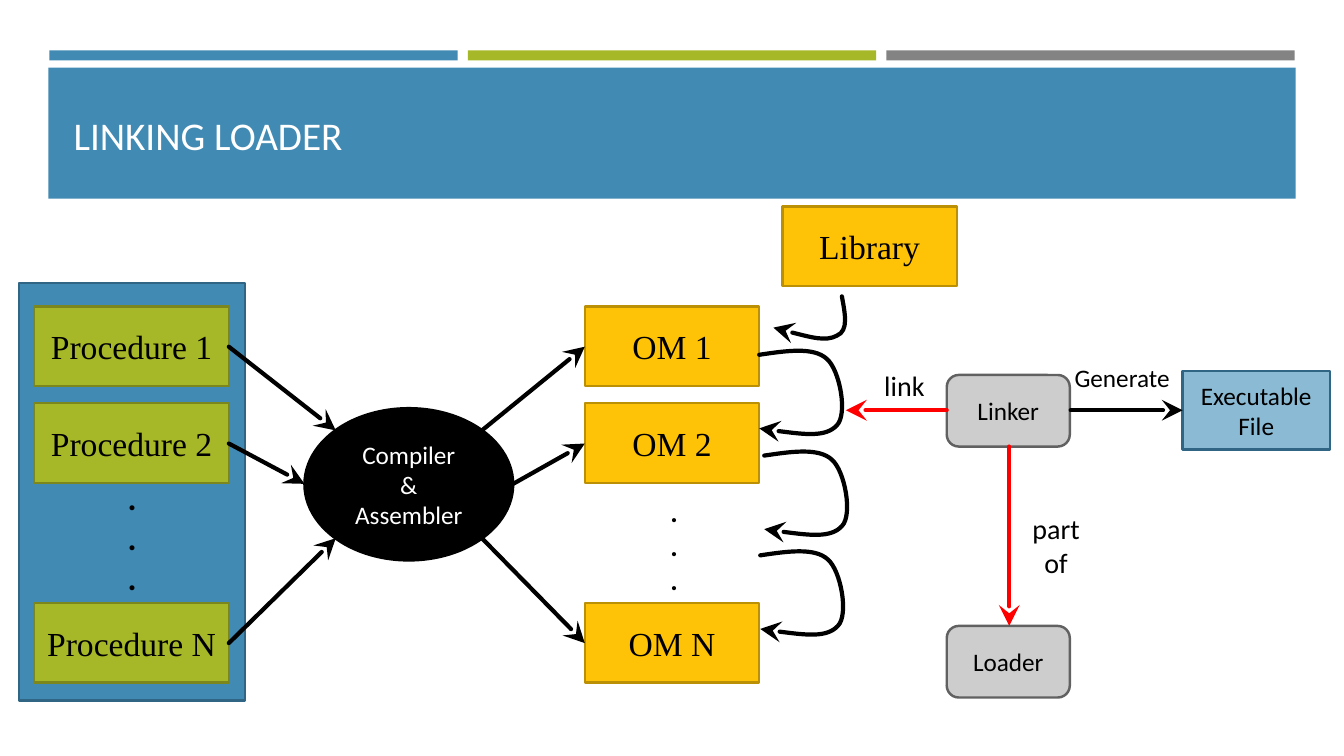
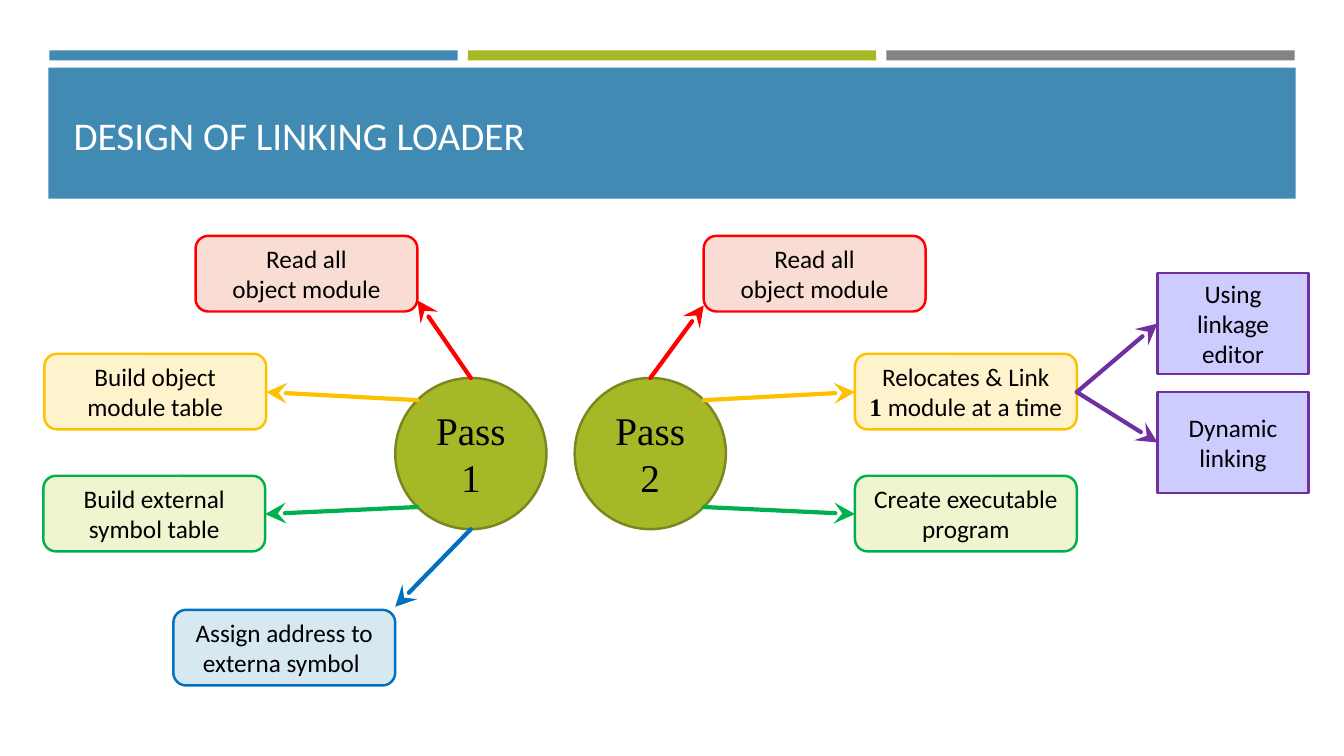
from lxml import etree
from pptx import Presentation, util as u
from pptx.dml.color import RGBColor
from pptx.enum import shapes, text
from pptx.oxml.ns import qn


class Theme:
    sans, serif = "Calibri", "Times New Roman"
    title, module, dots, label, body = 28, 24, 20, 20, 18
    edge, arrow = 1.75, 3
    white, black = "FFFFFF", "000000"
    blue, blue_edge, sky = "418AB3", "306684", "8ABAD4"
    lime, lime_edge = "A6B727", "7B871D"
    gold, gold_edge = "FEC306", "BC9004"
    gray, silver, silver_edge = "838383", "CDCDCD", "616161"
    red, red_tint = "FF0000", "F9DDD4"
    amber, amber_tint = "FFC000", "FFF3CD"
    green, green_tint = "00B050", "F0F5D0"
    azure, azure_tint = "0070C0", "D8E8F1"
    purple, purple_tint = "7030A0", "CCCCFF"


RECT = shapes.MSO_SHAPE.RECTANGLE
ROUND = shapes.MSO_SHAPE.ROUNDED_RECTANGLE
OVAL = shapes.MSO_SHAPE.OVAL
CENTER = text.PP_ALIGN.CENTER
LEFT = text.PP_ALIGN.LEFT
MIDDLE = text.MSO_ANCHOR.MIDDLE
TOP = text.MSO_ANCHOR.TOP


def write(shape, *lines, size=Theme.body, font=Theme.sans, color=Theme.black, bold=False,
          align=CENTER, anchor=MIDDLE, fill=None, edge=None):
    if fill:
        shape.shadow.inherit = False
        shape.fill.solid()
        shape.fill.fore_color.rgb = RGBColor.from_string(fill)
        shape.line.fill.background()
    if edge:
        shape.line.color.rgb = RGBColor.from_string(edge)
        shape.line.width = u.Pt(Theme.edge)
    frame = shape.text_frame
    frame.vertical_anchor = anchor
    for index, line in enumerate(lines):
        paragraph = frame.add_paragraph() if index else frame.paragraphs[0]
        paragraph.alignment = align
        runs = [(line, font, bold)] if isinstance(line, str) else line
        for words, run_font, run_bold in runs:
            run = paragraph.add_run()
            run.text = words
            run.font.name, run.font.size, run.font.bold = run_font, u.Pt(size), run_bold
            run.font.color.rgb = RGBColor.from_string(color)
    return shape


def point(stroke, color=Theme.black):
    stroke.line.color.rgb = RGBColor.from_string(color)
    stroke.line.width = u.Pt(Theme.arrow)
    outline = stroke.get_or_add_ln()
    outline.set("cap", "rnd")
    etree.SubElement(outline, qn("a:tailEnd"), type="stealth", w="lg", len="lg")
    etree.SubElement(stroke._element.spPr, qn("a:effectLst"))


deck = Presentation()
deck.slide_width, deck.slide_height = u.Inches(13.33), u.Inches(7.5)
layout = deck.slide_layouts[5]
heading = layout.placeholders[0]
heading.left, heading.top = u.Inches(0.63), u.Inches(0.8)
heading.width, heading.height = u.Inches(12.06), u.Inches(1.08)

overview, design = [deck.slides.add_slide(layout) for _ in range(2)]
for slide, words in [(overview, "LINKING LOADER"), (design, "DESIGN OF LINKING LOADER")]:
    write(slide.shapes.title, words, size=Theme.title, color=Theme.white, align=LEFT)

bands = [((0.49 + 4.15 * i, 0.5, 4.05, 0.1), color)
         for i, color in enumerate([Theme.blue, Theme.lime, Theme.gray])]
bands.append(((0.48, 0.67, 12.37, 1.3), Theme.blue))
for index, (at, color) in enumerate(bands):
    band = write(overview.shapes.add_shape(RECT, *map(u.Inches, at)), fill=color)
    layout.shapes._spTree.insert(2 + index, band._element)

parts = overview.shapes
program = parts.add_shape(RECT, *map(u.Inches, (0.19, 2.81, 2.24, 4.14)))
program.text_frame.margin_top = u.Inches(1.92)
write(program, ".", ".", ".", size=Theme.module, bold=True, anchor=TOP,
      fill=Theme.blue, edge=Theme.blue_edge)

arrows = [
    ((9.39, 4.07), (8.39, 4.07), Theme.red),
    ((10.01, 4.43), (10.01, 6.21), Theme.red),
    ((10.62, 4.07), (11.73, 4.07), Theme.black),
]
modules = [("Library", 7.76, 2.05, 1.73, Theme.gold, Theme.gold_edge)]
for number, top, entry_x, entry_y in [("1", 3.04, 3.33, 4.27), ("2", 4, 3.02, 4.8),
                                      ("N", 5.98, 3.33, 5.34)]:
    modules.append((f"Procedure {number}", 0.34, top, 1.93, Theme.lime, Theme.lime_edge))
    modules.append((f"OM {number}", 5.8, top, 1.73, Theme.gold, Theme.gold_edge))
    arrows.append(((2.27, top + 0.4), (entry_x, entry_y), Theme.black))
    arrows.append(((8.11 - entry_x, entry_y), (5.8, top + 0.4), Theme.black))
for name, left, top, width, fill, edge in modules:
    write(parts.add_shape(RECT, *map(u.Inches, (left, top, width, 0.79))), name,
          size=Theme.module, font=Theme.serif, fill=fill, edge=edge)

write(parts.add_shape(OVAL, *map(u.Inches, (3.02, 4.05, 2.07, 1.51))),
      "Compiler", "&", "Assembler", color=Theme.white, fill=Theme.black, edge=Theme.black)
for name, top in [("Linker", 3.72), ("Loader", 6.21)]:
    write(parts.add_shape(ROUND, *map(u.Inches, (9.39, top, 1.22, 0.71))), name,
          fill=Theme.silver, edge=Theme.silver_edge)
write(parts.add_shape(RECT, *map(u.Inches, (11.73, 3.68, 1.46, 0.78))),
      "Executable", "File", fill=Theme.sky, edge=Theme.blue_edge)

for lines, at, size, bold, align in [
    ((".", ".", "."), (6.55, 4.86, 0.28, 1.11), Theme.dots, True, LEFT),
    (("link",), (8.67, 3.61, 0.6, 0.44), Theme.label, False, CENTER),
    (("part", "of"), (10.14, 5.03, 0.67, 0.77), Theme.label, False, CENTER),
    (("Generate",), (10.56, 3.55, 1.17, 0.4), Theme.body, False, LEFT),
]:
    write(parts.add_textbox(*map(u.Inches, at)), *lines, size=size, bold=bold,
          align=align, anchor=TOP)

chain = [(0.27, -0.04), (0.54, -0.08), (0.67, 0.04), (0.8, 0.15), (0.88, 0.59),
         (0.77, 0.7), (0.66, 0.82), (0.33, 0.78), (0, 0.73)]
hook = [(0.03, 0.17), (0.07, 0.34), (-0.05, 0.39), (-0.16, 0.45), (-0.42, 0.38), (-0.68, 0.31)]
for x, y, bends in [(7.53, 3.52, chain), (7.58, 4.52, chain), (7.54, 5.51, chain),
                    (8.35, 2.94, hook)]:
    builder = parts.build_freeform(u.Inches(x), u.Inches(y))
    builder.add_line_segments([(u.Inches(x + dx), u.Inches(y + dy)) for dx, dy in bends],
                              close=False)
    curve = builder.convert_to_shape()
    segments = list(curve._element.iter(qn("a:lnTo")))
    for start in range(0, len(segments), 3):
        bezier = etree.SubElement(segments[start].getparent(), qn("a:cubicBezTo"))
        for segment in segments[start:start + 3]:
            bezier.append(segment[0])
            segment.getparent().remove(segment)
    curve.fill.background()
    point(curve)

for start, end, color in arrows:
    point(parts.add_connector(shapes.MSO_CONNECTOR.STRAIGHT, *map(u.Inches, start + end)), color)

parts = design.shapes
for number, left in [("1", 3.92), ("2", 5.7)]:
    write(parts.add_shape(OVAL, *map(u.Inches, (left, 3.75, 1.5, 1.5))), "Pass", number,
          size=Theme.title, font=Theme.serif, fill=Theme.lime, edge=Theme.lime_edge)

relocate = ("Relocates & Link", [("1", Theme.serif, True), (" module at a time", Theme.sans, False)])
read = ("Read all", "object module")
red = (Theme.red_tint, Theme.red)
amber = (Theme.amber_tint, Theme.amber)
green = (Theme.green_tint, Theme.green)
azure = (Theme.azure_tint, Theme.azure)
purple = (Theme.purple_tint, Theme.purple)
step, option = (ROUND, 2.2, 0.75), (RECT, 1.5, 1)
for lines, (kind, width, height), left, top, (fill, edge), start, end in [
    (read, step, 1.94, 2.34, red, (4.67, 3.75), (4.14, 2.98)),
    (("Build object", "module table"), step, 0.44, 3.51, amber, (4.14, 3.97), (2.64, 3.89)),
    (("Build external symbol table",), step, 0.43, 4.72, green, (4.14, 5.03), (2.63, 5.1)),
    (("Assign address to externa symbol ",), step, 1.72, 6.05, azure, (4.67, 5.25), (3.92, 6.02)),
    (read, step, 6.98, 2.34, red, (6.45, 3.75), (6.98, 3.03)),
    (relocate, step, 8.48, 3.51, amber, (6.98, 3.97), (8.48, 3.89)),
    (("Create executable program",), step, 8.48, 4.72, green, (6.98, 5.03), (8.48, 5.1)),
    (("Using linkage editor",), option, 11.48, 2.71, purple, (10.68, 3.89), (11.48, 3.21)),
    (("Dynamic linking",), option, 11.48, 3.89, purple, (10.68, 3.89), (11.48, 4.39)),
]:
    write(parts.add_shape(kind, *map(u.Inches, (left, top, width, height))), *lines,
          fill=fill, edge=edge)
    point(parts.add_connector(shapes.MSO_CONNECTOR.STRAIGHT, *map(u.Inches, start + end)), edge)

deck.save("out.pptx")
